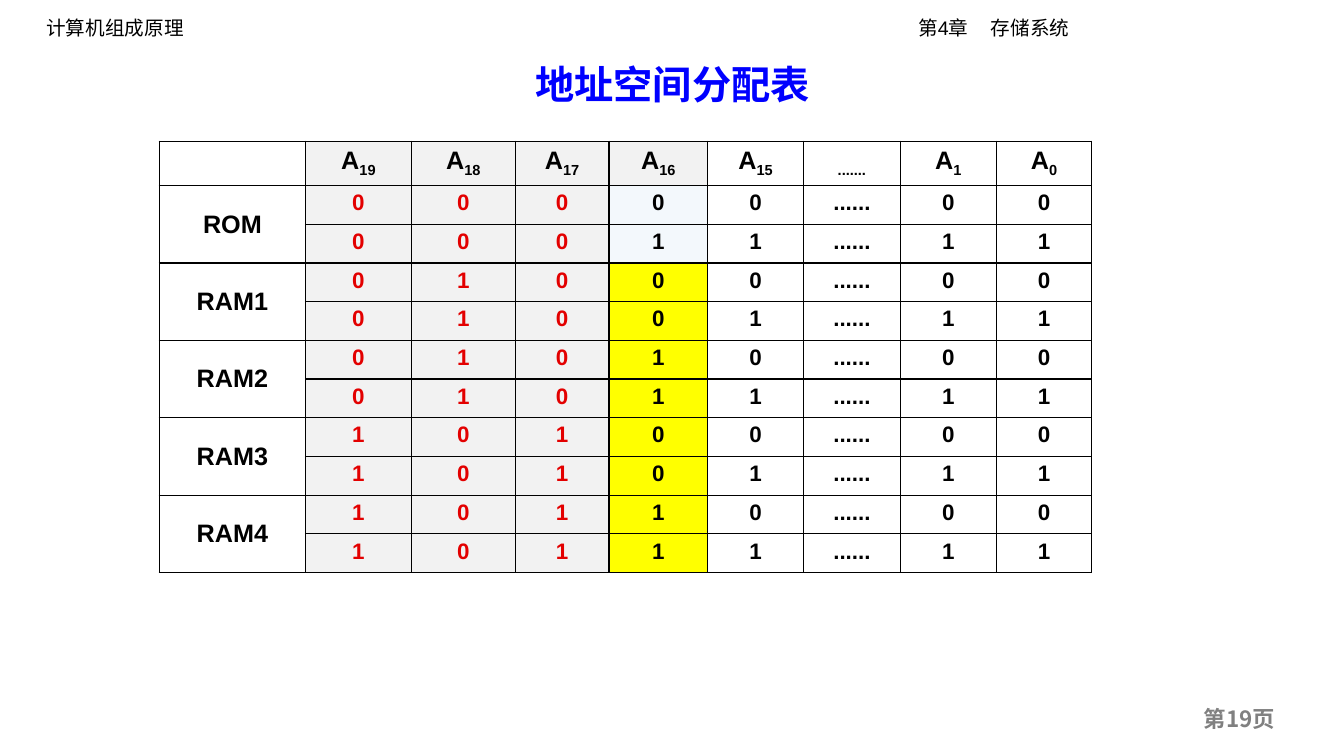
import pptx
import pptx.util
import pptx.dml.color
import pptx.enum.text
import pptx.oxml.ns
from lxml import etree

Inches, Pt = pptx.util.Inches, pptx.util.Pt
ALIGN = pptx.enum.text.PP_ALIGN
ANCHOR = pptx.enum.text.MSO_ANCHOR

TITLE = "地址空间分配表"
HEADER = ("计算机组成原理", "第4章", "存储系统")
HEADER_TABS = (8.65, 9.37)
PAGE_NUMBER = "第19页"

ADDRESS_LINES = ("19", "18", "17", "16", "15", ".......", "1", "0")
# Each chip: fixed bits A19-A17, then A16 at its lowest and highest address
CHIPS = [
    ("ROM", "000", "01"),
    ("RAM1", "010", "00"),
    ("RAM2", "010", "11"),
    ("RAM3", "101", "00"),
    ("RAM4", "101", "11"),
]
COLUMN_WIDTHS = (1.45, 1.05, 1.03, 0.93, 0.98, 0.95, 0.96, 0.95, 0.95)
HEAD_HEIGHT, TABLE_HEIGHT = 0.41, 4.25
SELECT_COLUMNS = (1, 2, 3)
A16_COLUMN = 4

COLORS = {
    "black": "000000",
    "title": "0000FF",
    "page": "808080",
    "select": "E30000",
    "gray": "F2F2F2",
    "pale": "F3F8FC",
    "yellow": "FFFF00",
}
LATIN, CJK = "Arial", "Noto Sans CJK SC"


def rgb(color):
    return pptx.dml.color.RGBColor.from_string(COLORS[color])


def add_child(parent, tag, **attributes):
    return etree.SubElement(parent, pptx.oxml.ns.qn(tag), attributes)


def style(para, size, color="black", bold=True, font=LATIN):
    para.font.size = Pt(size)
    para.font.bold = bold
    para.font.name = font
    para.font.color.rgb = rgb(color)
    if font == CJK:
        add_child(para.font._element, "a:ea", typeface=font)


def add_text(page, text, left, top, width, height):
    box = page.shapes.add_textbox(*map(Inches, (left, top, width, height)))
    box.text_frame.word_wrap = True
    para = box.text_frame.paragraphs[0]
    para.add_run().text = text
    return para


def add_border(cell):
    properties = cell._tc.get_or_add_tcPr()
    for side in ("a:lnL", "a:lnR", "a:lnT", "a:lnB"):
        line = add_child(properties, side, w=str(Pt(1)))
        fill = add_child(line, "a:solidFill")
        add_child(fill, "a:srgbClr", val=COLORS["black"])


def fill_cell(cell, text="", subscript="", size=16, color="black", fill=None):
    add_border(cell)
    if fill:
        cell.fill.solid()
        cell.fill.fore_color.rgb = rgb(fill)
    else:
        cell.fill.background()
    para = cell.text_frame.paragraphs[0]
    para.alignment = ALIGN.CENTER
    style(para, size, color)
    if text:
        para.add_run().text = text
    if subscript:
        span = para.add_run()
        span.text = subscript
        span.font._element.set("baseline", "-25000")


def add_address_table(page):
    row_count = 1 + 2 * len(CHIPS)
    frame = page.shapes.add_table(
        row_count, len(COLUMN_WIDTHS), Inches(1.58), Inches(1.4),
        Inches(sum(COLUMN_WIDTHS)), Inches(TABLE_HEIGHT))
    table = frame.table
    table.first_row = table.horz_banding = False
    for column, width in zip(table.columns, COLUMN_WIDTHS):
        column.width = Inches(width)
    for row in table.rows:
        row.height = Inches((TABLE_HEIGHT - HEAD_HEIGHT) / (row_count - 1))
    table.rows[0].height = Inches(HEAD_HEIGHT)

    fill_cell(table.cell(0, 0), size=18)
    for column, number in enumerate(ADDRESS_LINES, 1):
        letter = "A" if number.isdigit() else ""
        fill = "gray" if column <= A16_COLUMN else None
        fill_cell(table.cell(0, column), letter, number, 18, fill=fill)

    for index, (name, select, a16) in enumerate(CHIPS):
        top = 1 + 2 * index
        label = table.cell(top, 0)
        fill_cell(label, name, size=18)
        add_border(table.cell(top + 1, 0))
        label.merge(table.cell(top + 1, 0))
        label.vertical_anchor = ANCHOR.MIDDLE
        for offset, bit in enumerate("01"):
            values = [*select, a16[offset], bit, "......", bit, bit]
            for column, value in enumerate(values, 1):
                color, fill = "black", None
                if column in SELECT_COLUMNS:
                    color, fill = "select", "gray"
                elif column == A16_COLUMN:
                    fill = "pale" if name == "ROM" else "yellow"
                fill_cell(table.cell(top + offset, column), value,
                          color=color, fill=fill)


def main():
    deck = pptx.Presentation()
    deck.slide_width, deck.slide_height = Inches(13.33), Inches(7.5)
    page = deck.slides.add_slide(deck.slide_layouts[5])

    title = page.shapes.title
    title.left, title.top = Inches(0.92), Inches(0.47)
    title.width, title.height = Inches(11.5), Inches(0.63)
    title.text_frame.text = TITLE
    title.text_frame.vertical_anchor = ANCHOR.MIDDLE
    heading = title.text_frame.paragraphs[0]
    heading.alignment = ALIGN.CENTER
    heading.line_spacing = 1.2
    style(heading, 28, "title", font=CJK)

    header = add_text(page, "\t".join(HEADER), 0.36, 0.11, 12.61, 0.4)
    style(header, 14, bold=False)
    tabs = etree.Element(pptx.oxml.ns.qn("a:tabLst"))
    for position in HEADER_TABS:
        add_child(tabs, "a:tab", pos=str(Inches(position)), algn="l")
    header._p.get_or_add_pPr().insert(0, tabs)

    number = add_text(page, PAGE_NUMBER, 11.84, 6.95, 1.02, 0.37)
    style(number, 16, "page", font=CJK)

    add_address_table(page)
    deck.save("out.pptx")


if __name__ == "__main__":
    main()
